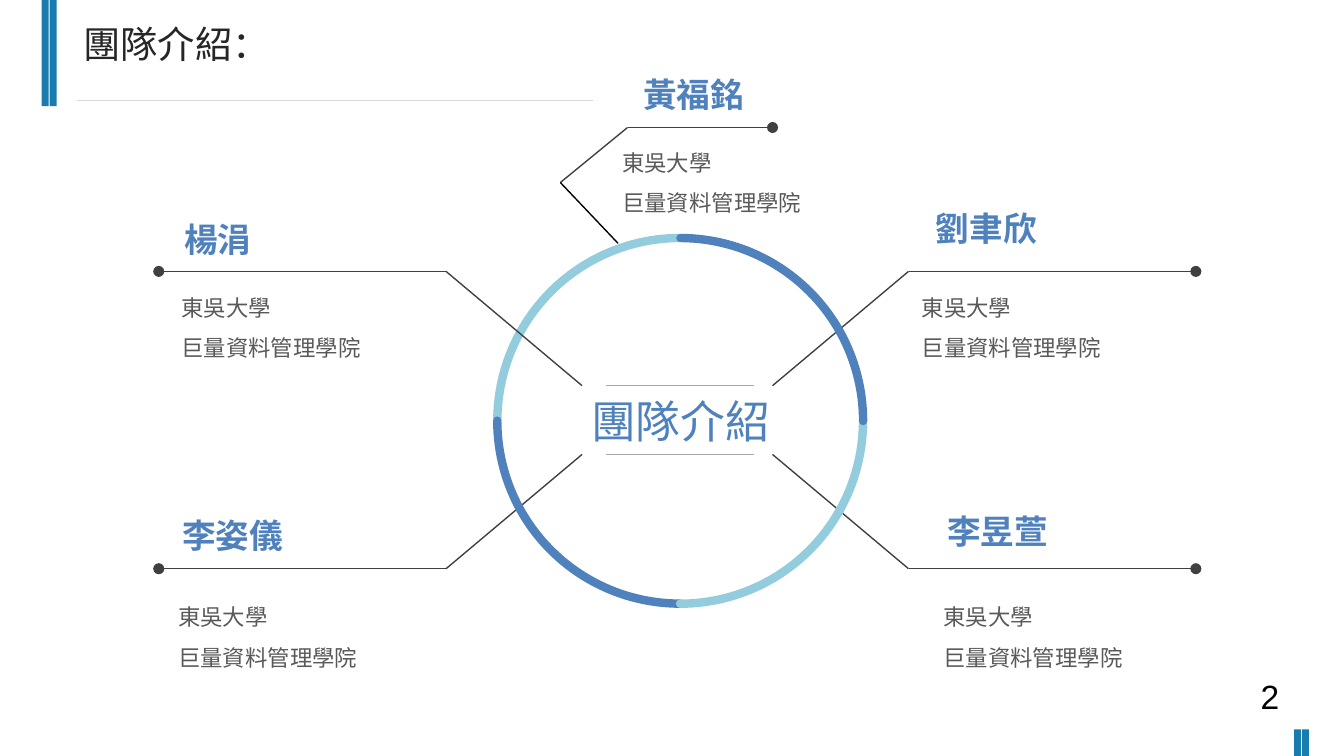
from dataclasses import dataclass

from lxml import etree
from pptx import Presentation
from pptx.dml.color import RGBColor
from pptx.enum.shapes import MSO_CONNECTOR, MSO_SHAPE
from pptx.enum.text import MSO_AUTO_SIZE, PP_ALIGN
from pptx.oxml.ns import qn
from pptx.util import Cm, Pt

STRAIGHT = MSO_CONNECTOR.STRAIGHT
RECTANGLE, ARC = MSO_SHAPE.RECTANGLE, MSO_SHAPE.ARC
GROW = MSO_AUTO_SIZE.SHAPE_TO_FIT_TEXT
LEFT, CENTER = PP_ALIGN.LEFT, PP_ALIGN.CENTER


@dataclass(frozen=True)
class Theme:
    """Colours, fonts and type sizes of the deck."""
    stripe: str = "1A7BAE"
    accent: str = "4F81BD"
    light: str = "93CDDD"
    title: str = "262626"
    body: str = "595959"
    branch: str = "404040"
    rule: str = "A6A6A6"
    pale_rule: str = "D9D9D9"
    black: str = "000000"
    title_font: str = "Arial Narrow"
    name_font: str = "Arial"
    body_font: str = "Noto Sans CJK SC"
    hub_size: int = 24
    title_size: int = 20
    name_size: int = 18
    body_size: int = 12
    thin: float = 0.75
    thick: float = 4.5


@dataclass(frozen=True)
class Member:
    """A person, with label boxes measured from the left end of the bar."""
    name: str
    points: tuple
    name_box: tuple
    school_box: tuple
    centred: bool = False


THEME = Theme()
SCHOOL = ("東吳大學", "巨量資料管理學院")
HUB_X, HUB_Y = 12.8, 7.94


def add_text(page, box, lines, font, size, colour, bold=False, centred=False, spacing=None):
    """Add a text box with one paragraph per line; centred text does not wrap."""
    frame = page.shapes.add_textbox(*(Cm(value) for value in box)).text_frame
    frame.word_wrap = not centred
    frame.auto_size = GROW
    frame.text = "\n".join(lines)
    for para in frame.paragraphs:
        para.alignment = CENTER if centred else LEFT
        if spacing:
            para.line_spacing = spacing
        for span in para.runs:
            span.font.name = font
            span.font.size = Pt(size)
            span.font.bold = bold
            span.font.color.rgb = RGBColor.from_string(colour)


def add_line(page, start, end, colour, dotted=False):
    """Add a thin straight line, with an oval at its start if dotted."""
    line = page.shapes.add_connector(STRAIGHT, *(Cm(value) for value in (*start, *end)))
    line.line.color.rgb = RGBColor.from_string(colour)
    line.line.width = Pt(THEME.thin)
    if dotted:
        etree.SubElement(line.line._get_or_add_ln(), qn("a:headEnd"), type="oval")
    etree.SubElement(line._element.spPr, qn("a:effectLst"))


def add_stripes(page, box):
    """Fill a box with two upright stripes and a narrow gap."""
    left, top, width, height = box
    stripe_width = 0.13
    for x in (left, left + width - stripe_width):
        stripe = page.shapes.add_shape(RECTANGLE, Cm(x), Cm(top), Cm(stripe_width), Cm(height))
        stripe.shadow.inherit = False
        stripe.fill.solid()
        stripe.fill.fore_color.rgb = RGBColor.from_string(THEME.stripe)
        stripe.line.fill.background()


def add_header(page, box):
    """Add the title and the rule beneath it."""
    left, top, width, height = box
    add_text(page, (left, top, width, 1.12), ["團隊介紹："],
             THEME.title_font, THEME.title_size, THEME.title)
    rule_y = top + height
    add_line(page, (left + 0.13, rule_y), (left + 9.88, rule_y), THEME.pale_rule)


def add_quarter(page, box, turn, colour):
    """Add a quarter of the ring, turned clockwise from the upper left."""
    quarter = page.shapes.add_shape(ARC, *(Cm(value) for value in box))
    quarter.adjustments[0], quarter.adjustments[1] = 108.03, 162.03
    quarter.rotation = turn
    quarter.shadow.inherit = False
    quarter.fill.background()
    quarter.line.color.rgb = RGBColor.from_string(colour)
    quarter.line.width = Pt(THEME.thick)
    quarter.line._get_or_add_ln().set("cap", "rnd")


def add_hub(page, box):
    """Add the central caption between two rules."""
    left, top, width, height = box
    for y in (top, top + height):
        add_line(page, (left, y), (left + width, y), THEME.rule)
    add_text(page, (left - 0.56, top + 0.02, width + 1.14, 1.27), ["團隊介紹"],
             THEME.name_font, THEME.hub_size, THEME.accent, centred=True)


def add_member(page, member):
    """Add a bent branch with the name above its bar and the school below."""
    dot, knee, tip = member.points
    add_line(page, dot, knee, THEME.branch, dotted=True)
    add_line(page, knee, tip, THEME.branch)
    left, top = min(dot[0], knee[0]), dot[1]
    x, y, width = member.name_box
    add_text(page, (left + x, top + y, width, 1.02), [member.name], THEME.name_font,
             THEME.name_size, THEME.accent, bold=True, centred=member.centred)
    x, y, width = member.school_box
    add_text(page, (left + x, top + y, width, 1.8), SCHOOL, THEME.body_font,
             THEME.body_size, THEME.body, spacing=1.5)


def branch(side, level):
    """Return dot, knee and tip of a branch; side and level are -1 or 1."""
    reach = ((9.8, 2.81), (4.37, 2.81), (1.8, 0.65))
    return tuple((HUB_X + side * x, HUB_Y + level * y) for x, y in reach)


def add_team_slide(deck):
    """Add the slide that introduces the team around a ring."""
    page = deck.slides.add_slide(deck.slide_layouts[6])
    top_branch = ((14.6, 2.41), (11.86, 2.41), (10.59, 3.45))
    members = (
        Member("楊涓", branch(-1, -1), (0.23, -1.12, 6.22), (0.18, 0.05, 5.97)),
        Member("李姿儀", branch(-1, 1), (0.18, -1.14, 2.44), (0.12, 0.28, 6.48), True),
        Member("劉聿欣", branch(1, -1), (0.25, -1.32, 2.44), (0, 0.05, 6.07), True),
        Member("李昱萱", branch(1, 1), (0.48, -1.21, 4.29), (0.41, 0.28, 5.26)),
        Member("黃福銘", top_branch, (0.05, -1.14, 6.22), (-0.35, 0.03, 5.97)),
    )
    ring = (9.4, 4.5, 6.91, 6.91)
    add_stripes(page, (0.79, 0, 0.28, 2.01))
    add_stripes(page, (24.46, 13.79, 0.28, 0.5))
    add_header(page, (1.32, 0.28, 10.74, 1.62))
    add_quarter(page, ring, 0, THEME.light)
    add_hub(page, (11.46, 7.29, 2.79, 1.3))
    for member in members:
        add_member(page, member)
    for turn, colour in ((270, THEME.accent), (180, THEME.light), (90, THEME.accent)):
        add_quarter(page, ring, turn, colour)
    add_line(page, top_branch[-1], (11.68, 4.6), THEME.black)
    add_text(page, (23.57, 12.65, 0.86, 1.02), ["2"],
             THEME.name_font, THEME.name_size, THEME.black, centred=True)


def main():
    """Build and save the deck."""
    deck = Presentation()
    deck.slide_width, deck.slide_height = Cm(25.4), Cm(14.29)
    add_team_slide(deck)
    deck.save("out.pptx")


if __name__ == "__main__":
    main()
